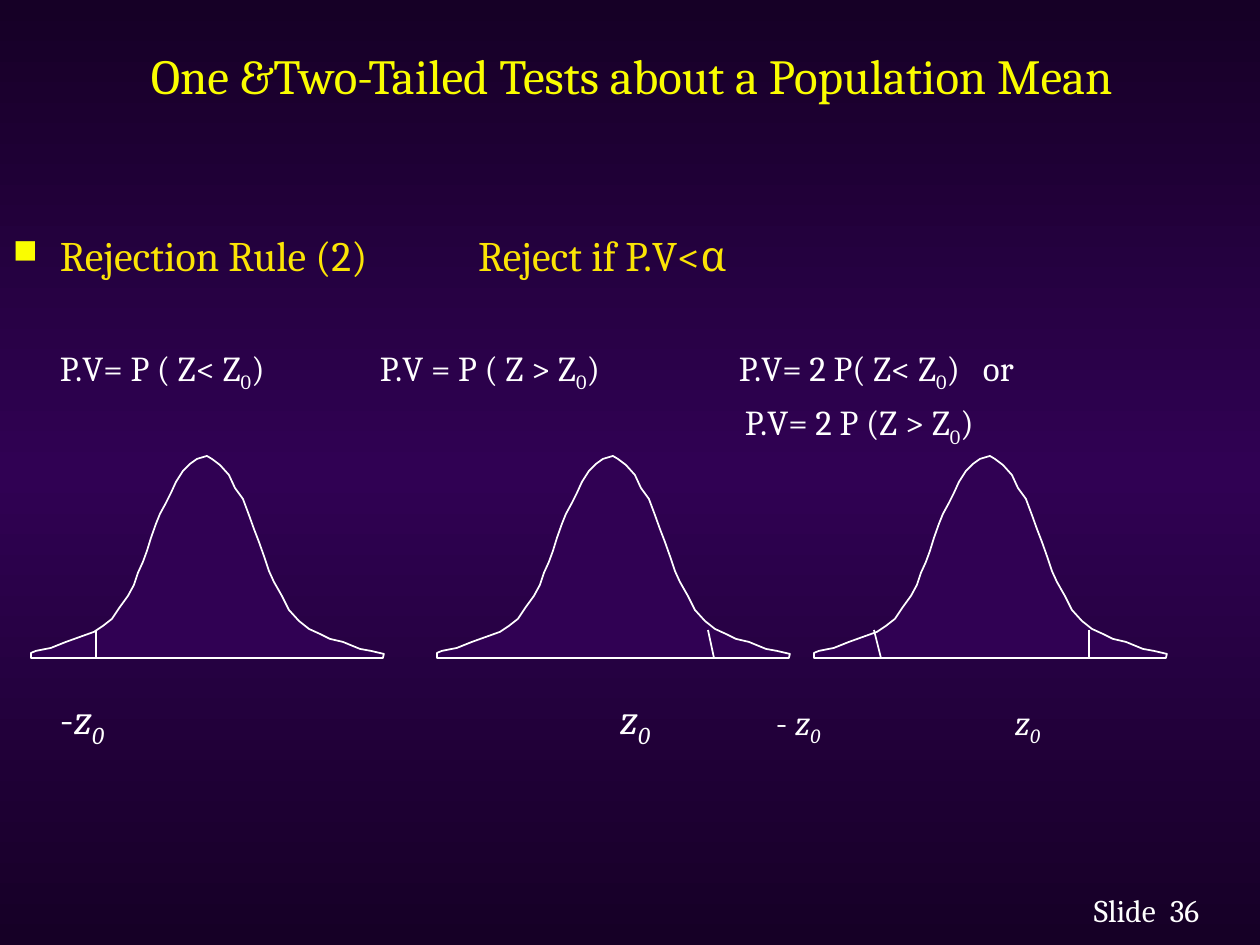
from copy import deepcopy

from lxml import etree
from pptx import Presentation
from pptx import util as u
from pptx.dml.color import RGBColor
from pptx.enum import shapes, text
from pptx.oxml.ns import qn

PX = u.Inches(1) // 126
HEX = {"edge": "160026", "mid": "300153", "white": "FFFFFF",
       "title": "FAFD00", "rule": "FBE405"}

# Bell outline, in px from its top left corner
BELL = [
    (176, 0), (166, 3), (159, 8), (152, 15), (145, 26), (140, 37), (135, 47),
    (129, 58), (125, 68), (120, 82), (116, 95), (112, 106), (107, 117),
    (103, 129), (97, 140), (89, 151), (81, 163), (72, 170), (63, 176),
    (49, 181), (35, 186), (20, 192), (5, 195), (0, 197), (0, 202),
    (352, 202), (353, 198), (340, 195), (329, 193), (312, 186), (299, 183),
    (289, 178), (278, 173), (268, 165), (258, 154), (251, 140), (243, 126),
    (238, 115), (233, 100), (228, 86), (223, 73), (218, 59), (212, 43),
    (204, 32), (198, 19), (189, 9), (181, 3)]


def color(name):
    return RGBColor.from_string(HEX[name])


class Page:
    font = "Cambria"

    def __init__(self, deck):
        self.slide = deck.slides.add_slide(deck.slide_layouts[5])
        self.shapes = self.slide.shapes

    def back(self):
        fill = self.slide.background.fill
        fill.gradient()
        fill.gradient_angle = 270
        for stop in fill.gradient_stops:
            stop.color.rgb = color("edge")
        first = self.slide.element.find(".//" + qn("a:gs"))
        first.addnext(deepcopy(first))
        stop = fill.gradient_stops[1]
        stop.position = 0.5
        stop.color.rgb = color("mid")

    def frame(self, shape, pad=0):
        frame = shape.text_frame
        style = {"word_wrap": True, "auto_size": text.MSO_AUTO_SIZE.NONE,
                 "margin_left": pad, "margin_right": pad,
                 "margin_top": pad, "margin_bottom": pad}
        for key, val in style.items():
            setattr(frame, key, val)
        return frame

    def runs(self, para, words, size, hue):
        """Pieces are split by |; a leading / is italic, _ is subscript."""
        for piece in words.split("|"):
            run = para.add_run()
            run.text = piece.lstrip("/_")
            style = {"name": self.font, "size": u.Pt(size),
                     "italic": "/" in piece}
            for key, val in style.items():
                setattr(run.font, key, val)
            run.font.color.rgb = color(hue)
            if "_" in piece:
                run._r.get_or_add_rPr().set("baseline", "-25000")

    def title(self, words, box):
        shape = self.shapes.title
        for key, val in zip(("left", "top", "width", "height"), box):
            setattr(shape, key, val * PX)
        frame = self.frame(shape, 6 * PX)
        frame.vertical_anchor = text.MSO_ANCHOR.MIDDLE
        para = frame.paragraphs[0]
        para.alignment = text.PP_ALIGN.CENTER
        self.runs(para, words, 28, "title")

    def label(self, words, x, y, wide, size=20, hue="white"):
        box = self.shapes.add_textbox(x * PX, y * PX, wide * PX, 58 * PX)
        para = self.frame(box).paragraphs[0]
        self.runs(para, words, size, hue)
        return para

    def bullet(self, para, indent):
        props = para._p.get_or_add_pPr()
        props.set("marL", str(indent * PX))
        props.set("indent", str(-indent * PX))
        tint = etree.SubElement(props, qn("a:buClr"))
        etree.SubElement(tint, qn("a:srgbClr"), val=HEX["title"])
        etree.SubElement(props, qn("a:buSzPct"), val="80000")
        etree.SubElement(props, qn("a:buChar"), char="■")

    def line(self, shape):
        shape.line.color.rgb = color("white")
        shape.line.width = u.Pt(1)

    def bell(self, left, top):
        spots = [(left + x, top + y) for x, y in BELL]
        form = self.shapes.build_freeform(*spots[0], scale=PX)
        form.add_line_segments(spots[1:], close=True)
        shape = form.convert_to_shape()
        shape.shadow.inherit = False
        shape.fill.solid()
        shape.fill.fore_color.rgb = color("mid")
        self.line(shape)

    def tick(self, start, end, top, base):
        line = self.shapes.add_connector(
            shapes.MSO_CONNECTOR.STRAIGHT,
            start * PX, top * PX, end * PX, base * PX)
        self.line(line)
        etree.SubElement(line._element.spPr, qn("a:effectLst"))


def main():
    deck = Presentation()
    deck.slide_width, deck.slide_height = u.Inches(10), u.Inches(7.5)
    page = Page(deck)
    page.back()

    # Heading and rule
    page.title("One &Two-Tailed Tests about a Population Mean",
               (96, 19, 1071, 112))
    rule = page.label("Rejection Rule (2)", 13, 230, 420, 24, "rule")
    page.bullet(rule, 47)
    page.label("Reject if P.V<α", 478, 230, 400, 24, "rule")

    # P-value formulas
    for words, x, y, wide in [
            ("P.V= P ( Z< Z|_0|)", 60, 346, 300),
            ("P.V = P ( Z > Z|_0|)", 380, 346, 330),
            ("P.V= 2 P( Z< Z|_0|)", 739, 346, 240),
            ("or", 983, 346, 80),
            ("P.V= 2 P (Z > Z|_0|)", 745, 401, 330)]:
        page.label(words, x, y, wide)

    # Bell curves and cut-off marks
    for left in (31, 437, 814):
        page.bell(left, 456)
    for start, end in [(96, 96), (708, 714), (874, 881), (1089, 1089)]:
        page.tick(start, end, 630, 658)

    # Cut-off labels
    for words, x, y, size in [
            ("-|/z|/_0", 60, 692, 24), ("/z|/_0", 620, 692, 24),
            ("- |/z|/_0", 776, 700, 20), ("/z|/_0", 1015, 700, 20)]:
        page.label(words, x, y, 100, size)

    # Slide number
    page.label("Slide", 1094, 891, 75, 18)
    page.label("36", 1170, 891, 60, 18)

    deck.save("out.pptx")


if __name__ == "__main__":
    main()
